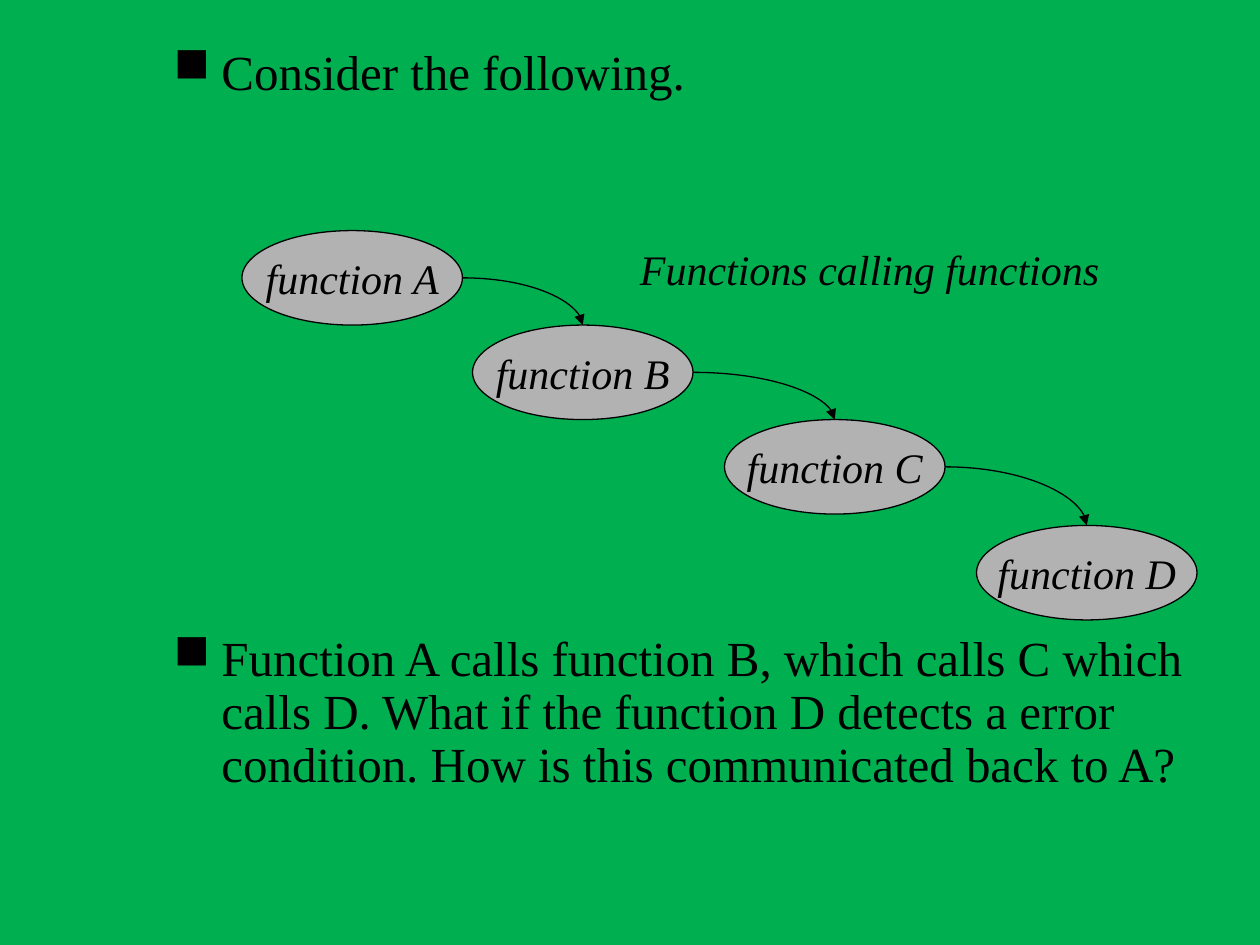
from dataclasses import dataclass
from itertools import pairwise

from lxml.etree import SubElement
from pptx import Presentation
from pptx.dml.color import RGBColor
from pptx.enum.shapes import MSO_CONNECTOR, MSO_SHAPE
from pptx.enum.text import MSO_ANCHOR, PP_ALIGN
from pptx.oxml.ns import qn
from pptx.slide import Slide
from pptx.text.text import _Paragraph
from pptx.util import Inches, Pt

BLACK = "000000"
GREEN = "00B050"
GREY = "B2B2B2"
OVAL_WIDTH, OVAL_HEIGHT = 1.75, 0.75
BODY_FONT = {"name": "Times New Roman", "size": Pt(28)}
LABEL_FONT = {"name": "Times New Roman", "size": Pt(24), "italic": True}


@dataclass(frozen=True)
class Function:
    label: str
    left: float
    top: float

    @property
    def right_middle(self) -> tuple[float, float]:
        return self.left + OVAL_WIDTH, self.top + OVAL_HEIGHT / 2

    @property
    def top_middle(self) -> tuple[float, float]:
        return self.left + OVAL_WIDTH / 2, self.top


@dataclass(frozen=True)
class Point:
    wording: str
    space_before: float


FUNCTIONS = [
    Function("function A", 1.92, 1.83),
    Function("function B", 3.75, 2.58),
    Function("function C", 5.75, 3.33),
    Function("function D", 7.75, 4.17),
]
POINTS = [
    Point("Consider the following.", 7),
    Point(
        "Function A calls function B, which calls C which calls D. What if the "
        "function D detects a error condition. How is this communicated back to A?",
        304.7,
    ),
]


def colour(value: str) -> RGBColor:
    return RGBColor.from_string(value)


def write(paragraph: _Paragraph, wording: str, formats: dict) -> None:
    run = paragraph.add_run()
    run.text = wording
    for attribute, value in formats.items():
        setattr(run.font, attribute, value)
    run.font.color.rgb = colour(BLACK)


def add_bullet(paragraph: _Paragraph) -> None:
    properties = paragraph._p.get_or_add_pPr()
    properties.set("marL", str(Inches(0.38)))
    properties.set("indent", str(-Inches(0.38)))
    bullet_colour = SubElement(properties, qn("a:buClr"))
    SubElement(bullet_colour, qn("a:srgbClr"), val=BLACK)
    SubElement(properties, qn("a:buChar"), char="■")


def draw_points(slide: Slide, points: list[Point]) -> None:
    body = slide.shapes.add_textbox(
        Inches(1.28), Inches(0.33), Inches(8.5), Inches(6.33)
    ).text_frame
    body.word_wrap = True
    for index, point in enumerate(points):
        paragraph = body.add_paragraph() if index else body.paragraphs[0]
        paragraph.line_spacing = 0.9
        paragraph.space_before = Pt(point.space_before)
        add_bullet(paragraph)
        write(paragraph, point.wording, BODY_FONT)


def draw_function(slide: Slide, function: Function) -> None:
    oval = slide.shapes.add_shape(
        MSO_SHAPE.OVAL,
        Inches(function.left),
        Inches(function.top),
        Inches(OVAL_WIDTH),
        Inches(OVAL_HEIGHT),
    )
    oval.shadow.inherit = False
    oval.fill.solid()
    oval.fill.fore_color.rgb = colour(GREY)
    oval.line.color.rgb = colour(BLACK)
    oval.line.width = Pt(0.75)
    oval.text_frame.word_wrap = False
    oval.text_frame.vertical_anchor = MSO_ANCHOR.MIDDLE
    paragraph = oval.text_frame.paragraphs[0]
    paragraph.alignment = PP_ALIGN.CENTER
    write(paragraph, function.label, LABEL_FONT)


def draw_call(slide: Slide, caller: Function, callee: Function) -> None:
    ends = [Inches(length) for length in caller.right_middle + callee.top_middle]
    call = slide.shapes.add_connector(MSO_CONNECTOR.CURVE, *ends)
    call.line.color.rgb = colour(BLACK)
    call.line.width = Pt(0.75)
    properties = call._element.spPr
    properties.find(qn("a:prstGeom")).set("prst", "curvedConnector2")
    SubElement(properties.find(qn("a:ln")), qn("a:tailEnd"), type="triangle")
    SubElement(properties, qn("a:effectLst"))


def draw_caption(slide: Slide) -> None:
    caption = slide.shapes.add_textbox(
        Inches(4.98), Inches(1.88), Inches(3.85), Inches(0.5)
    ).text_frame
    caption.word_wrap = False
    write(caption.paragraphs[0], "Functions calling functions", LABEL_FONT)


def main() -> None:
    presentation = Presentation()
    presentation.slide_width = Inches(10)
    presentation.slide_height = Inches(7.5)
    slide = presentation.slides.add_slide(presentation.slide_layouts[6])
    slide.background.fill.solid()
    slide.background.fill.fore_color.rgb = colour(GREEN)
    draw_points(slide, POINTS)
    for function in FUNCTIONS:
        draw_function(slide, function)
    for caller, callee in pairwise(FUNCTIONS):
        draw_call(slide, caller, callee)
    draw_caption(slide)
    presentation.save("out.pptx")


if __name__ == "__main__":
    main()
